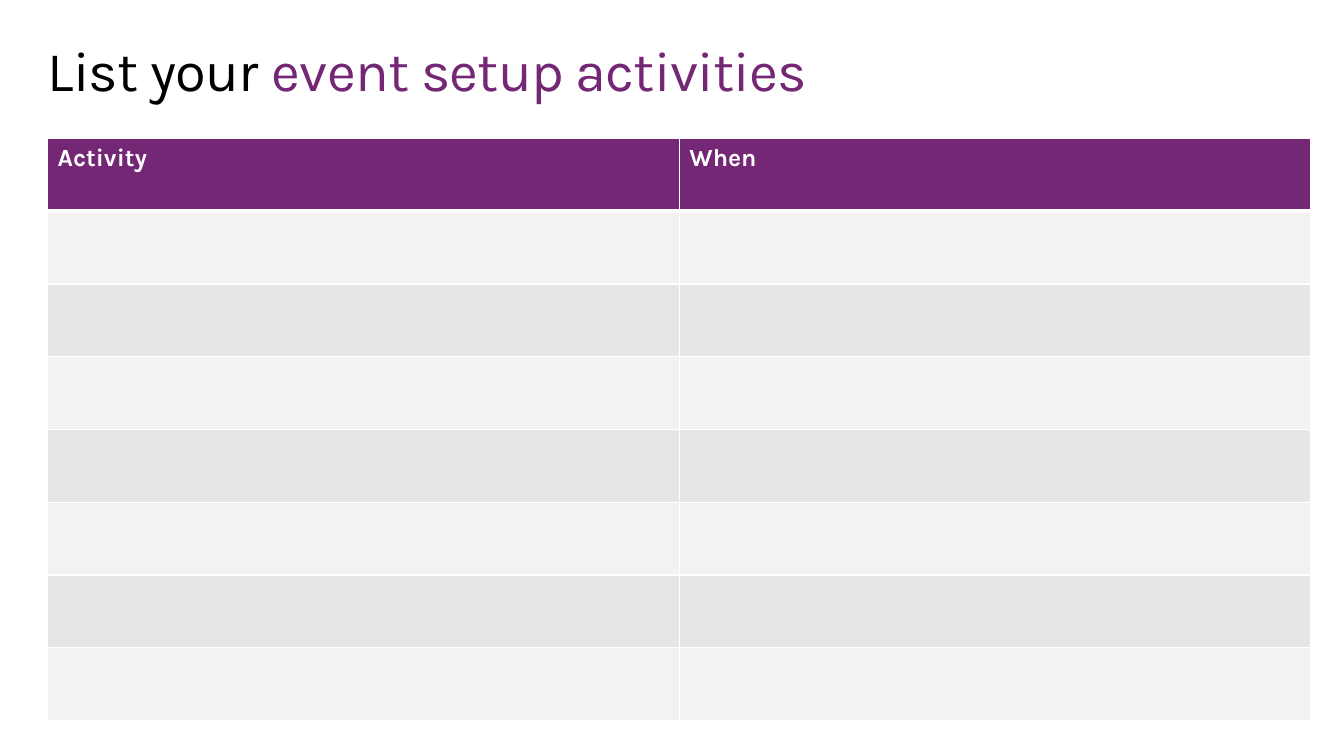
from dataclasses import dataclass

from lxml import etree
from pptx import Presentation
from pptx.dml.color import RGBColor
from pptx.enum import text
from pptx.oxml import ns
from pptx.util import Cm, Pt


@dataclass(frozen=True)
class Theme:
    """Colours, font and type sizes of the slide."""

    font: str = "Karla"
    black: str = "000000"
    purple: str = "742774"
    white: str = "FFFFFF"
    bands: tuple = ("F2F2F2", "E6E6E6")
    title_size: float = 40
    header_size: float = 17.6
    thin_line: float = 1
    thick_line: float = 3


THEME = Theme()
HEADERS = ("Activity", "When")
ROW_COUNT = 8


def set_attributes(target, values):
    """Set each named attribute of the target."""
    for name, value in values.items():
        setattr(target, name, value)


def add_run(paragraph, words, size, color, bold=False):
    """Add a formatted run to the paragraph and return it."""
    run = paragraph.add_run()
    run.text = words
    set_attributes(run.font, {"name": THEME.font, "size": Pt(size), "bold": bold})
    run.font.color.rgb = RGBColor.from_string(color)
    return run


def add_title(slide, parts):
    """Place the title and write its coloured parts."""
    title = slide.shapes.title
    set_attributes(title, {"left": Cm(1.2), "top": Cm(0.89),
                           "width": Cm(31.5), "height": Cm(1.7)})
    set_attributes(title.text_frame, {
        "margin_left": 0, "margin_top": 0, "margin_right": 0, "margin_bottom": 0,
        "word_wrap": True, "vertical_anchor": text.MSO_ANCHOR.TOP,
        "auto_size": text.MSO_AUTO_SIZE.SHAPE_TO_FIT_TEXT})
    paragraph = title.text_frame.paragraphs[0]
    paragraph.alignment = text.PP_ALIGN.LEFT
    for words, color in parts:
        run = add_run(paragraph, words, THEME.title_size, color)
        run.font._element.set("spc", "-50")


def set_borders(cell, bottom_width, top_width):
    """Draw white lines on the four sides of a cell."""
    properties = cell._tc.get_or_add_tcPr()
    widths = {"lnL": THEME.thin_line, "lnR": THEME.thin_line,
              "lnT": top_width, "lnB": bottom_width}
    for side, width in widths.items():
        line = etree.SubElement(properties, ns.qn(f"a:{side}"), w=str(Pt(width)))
        fill = etree.SubElement(line, ns.qn("a:solidFill"))
        etree.SubElement(fill, ns.qn("a:srgbClr"), val=THEME.white)


def format_cell(cell, color, bottom_width, top_width):
    """Give a cell its borders and fill."""
    set_borders(cell, bottom_width, top_width)
    cell.fill.solid()
    cell.fill.fore_color.rgb = RGBColor.from_string(color)


def add_activity_table(slide):
    """Add the table with a header and banded empty rows."""
    frame = slide.shapes.add_table(ROW_COUNT, len(HEADERS), Cm(1.2), Cm(3.49),
                                   Cm(31.84), Cm(14.67))
    table = frame.table
    for index, row in enumerate(table.rows):
        color = THEME.bands[(index - 1) % 2] if index else THEME.purple
        bottom_width = THEME.thin_line if index else THEME.thick_line
        top_width = THEME.thick_line if index == 1 else THEME.thin_line
        for cell in row.cells:
            format_cell(cell, color, bottom_width, top_width)
    for cell, header in zip(table.rows[0].cells, HEADERS):
        add_run(cell.text_frame.paragraphs[0], header, THEME.header_size,
                THEME.white, bold=True)


def main():
    """Build and save the slide."""
    presentation = Presentation()
    set_attributes(presentation, {"slide_width": Cm(33.87), "slide_height": Cm(19.05)})
    slide = presentation.slides.add_slide(presentation.slide_layouts[5])
    add_title(slide, (("List your ", THEME.black),
                      ("event setup activities", THEME.purple)))
    add_activity_table(slide)
    presentation.save("out.pptx")


if __name__ == "__main__":
    main()
